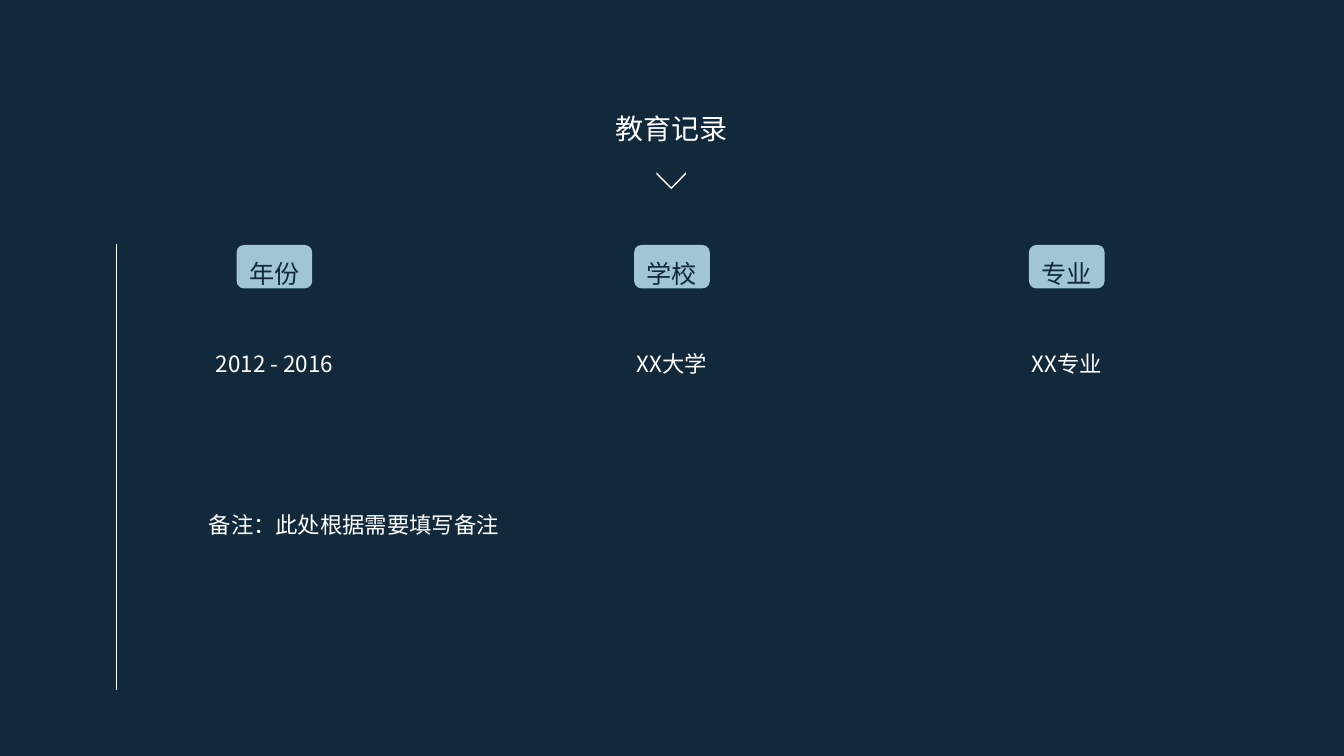
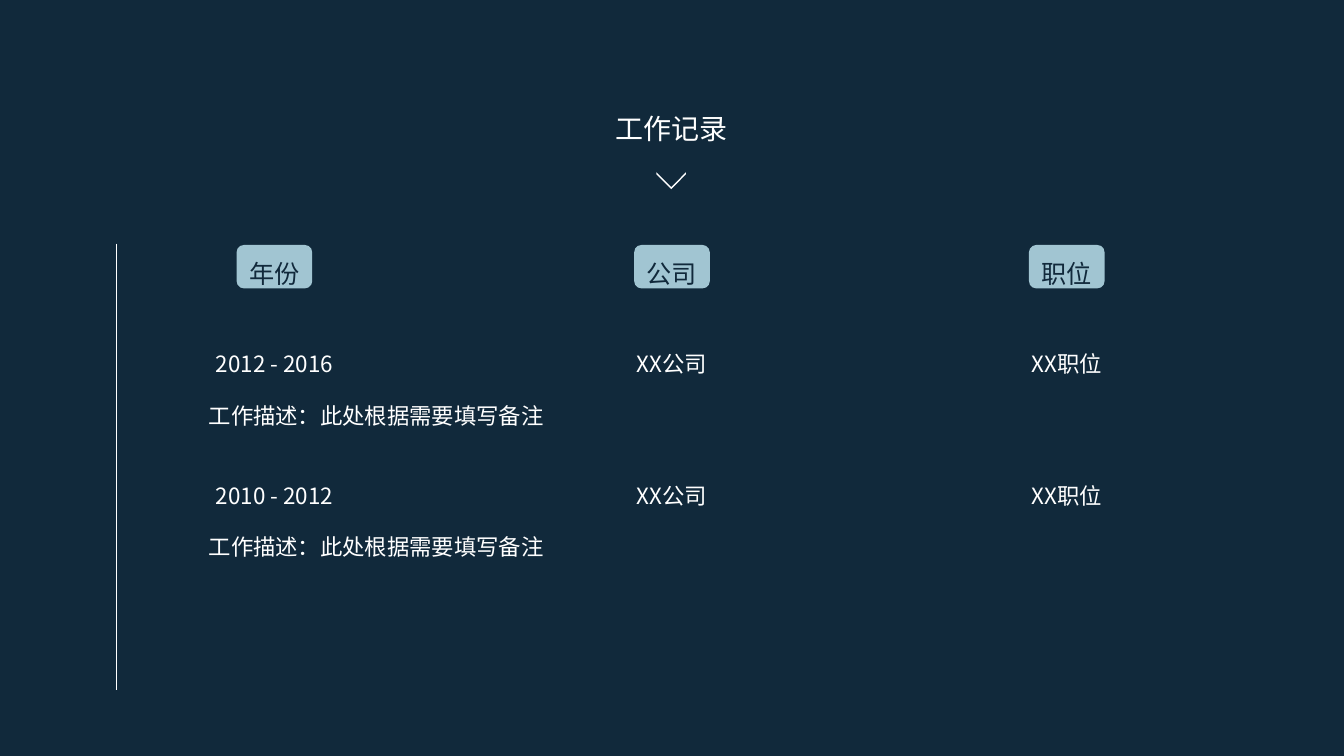
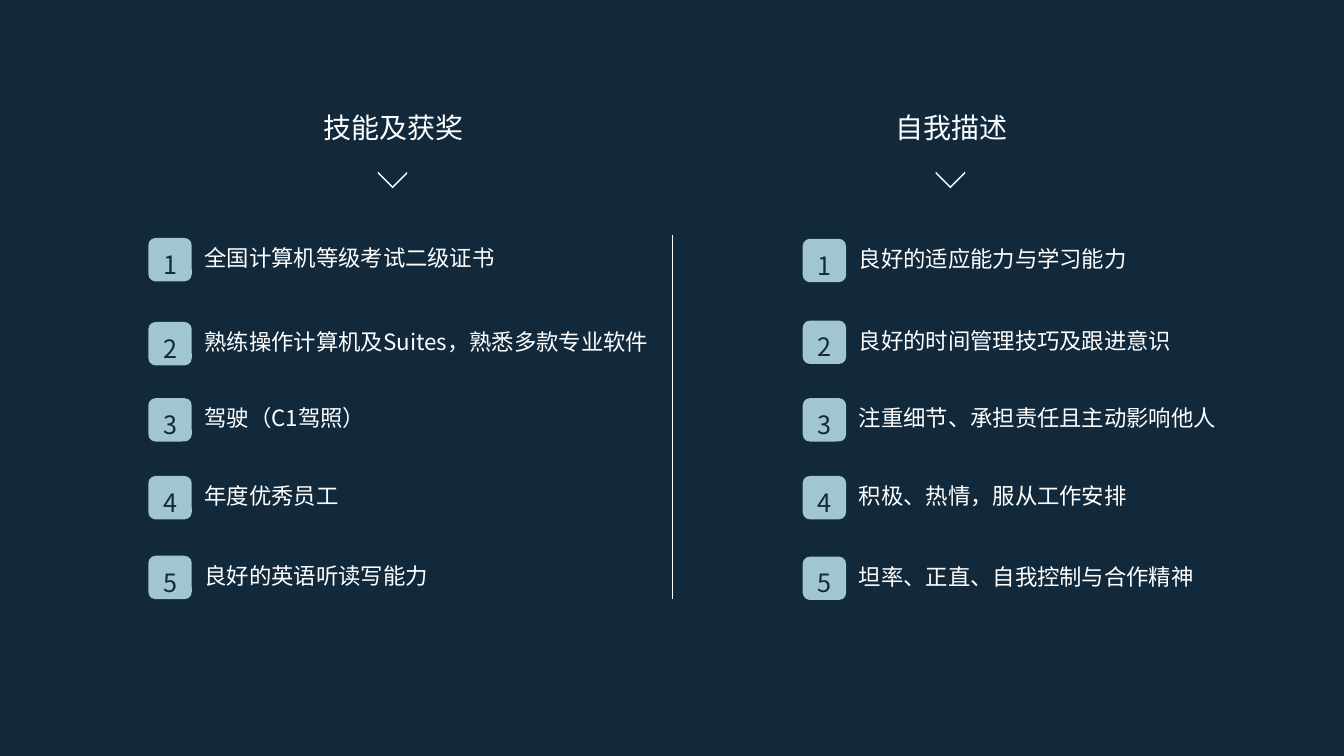
from lxml.etree import SubElement
from pptx import Presentation
from pptx.dml.color import RGBColor
from pptx.enum.shapes import MSO_CONNECTOR, MSO_SHAPE
from pptx.enum.text import MSO_ANCHOR, PP_ALIGN
from pptx.oxml.ns import qn
from pptx.util import Pt

COLORS = {"navy": "11293B", "mist": "A1C5D2", "white": "FFFFFF"}
FONT = "Noto Sans CJK SC"
CENTERED = {"alignment": PP_ALIGN.CENTER, "line_spacing": 1.3}
# Each style: font size, colour, paragraph format
STYLES = {
    "title": (20, "white", CENTERED),
    "badge": (18, "navy", CENTERED),
    "entry": (16, "white", CENTERED),
    "remark": (16, "white", {"alignment": PP_ALIGN.LEFT, "line_spacing": 1.3}),
    "item": (16, "white", {"alignment": PP_ALIGN.LEFT}),
}


def add_text(slide, text, style, box, shape=None):
    """Write text in the given shape, or in a new text box."""
    shape = shape or slide.shapes.add_textbox(*map(Pt, box))
    size, color, paragraph_format = STYLES[style]
    shape.text_frame.word_wrap = True
    paragraph = shape.text_frame.paragraphs[0]
    for name, value in paragraph_format.items():
        setattr(paragraph, name, value)
    run = paragraph.add_run()
    run.text = text
    for name, value in {"size": Pt(size), "name": FONT}.items():
        setattr(run.font, name, value)
    run.font.color.rgb = RGBColor.from_string(COLORS[color])
    SubElement(run.font._rPr, qn("a:ea"), typeface=FONT)


def add_solid(slide, kind, color, box):
    """Add a plain filled shape without outline or shadow."""
    shape = slide.shapes.add_shape(kind, *map(Pt, box))
    shape.shadow.inherit = False
    shape.fill.solid()
    shape.fill.fore_color.rgb = RGBColor.from_string(COLORS[color])
    shape.line.fill.background()
    return shape


prs = Presentation()
prs.slide_width, prs.slide_height = Pt(960), Pt(540)
background = prs.slide_master.background.fill
background.solid()
background.fore_color.rgb = RGBColor.from_string(COLORS["navy"])
education, work, profile = [prs.slides.add_slide(prs.slide_layouts[6]) for _ in range(3)]

# Titles with a chevron below: slide, text, centre, top
for slide, title, center, top in [
    (education, "教育记录", 480, 69),
    (work, "工作记录", 480, 69),
    (profile, "技能及获奖", 281, 68.4),
    (profile, "自我描述", 679.4, 68.4),
]:
    add_text(slide, title, "title", (center - 72, top, 144, 36))
    chevron = add_solid(slide, MSO_SHAPE.CHEVRON, "white", (center - 6.6, top + 49.6, 12, 21))
    chevron.rotation = 90
    chevron.adjustments[0] = 0.88

# Thin vertical rules: slide, x, top, bottom
for slide, x, top, bottom in [
    (education, 83, 174, 493),
    (work, 83, 174, 493),
    (profile, 480, 168, 428),
]:
    rule = slide.shapes.add_connector(MSO_CONNECTOR.STRAIGHT, Pt(x), Pt(top), Pt(x), Pt(bottom))
    rule.line.width = Pt(0.5)
    rule.line.color.rgb = RGBColor.from_string(COLORS["white"])
    SubElement(rule._element.spPr, qn("a:effectLst"))

# Records: headings, then entry rows at (top, cells), then remarks at (top, text)
COLUMN_CENTERS = (196, 480, 762)
JOB_REMARK = "工作描述：此处根据需要填写备注"
RECORDS = [
    (education, ("年份", "学校", "专业"),
     [(241, ("2012 - 2016", "XX大学", "XX专业"))],
     [(355.6, "备注：此处根据需要填写备注")]),
    (work, ("年份", "公司", "职位"),
     [(241, ("2012 - 2016", "XX公司", "XX职位")),
      (334.8, ("2010 - 2012", "XX公司", "XX职位"))],
     [(278, JOB_REMARK), (371.6, JOB_REMARK)]),
]
for slide, headings, rows, remarks in RECORDS:
    for center, heading in zip(COLUMN_CENTERS, headings):
        badge = add_solid(slide, MSO_SHAPE.ROUNDED_RECTANGLE, "mist", (center - 27, 175, 54, 31))
        frame = badge.text_frame
        frame.vertical_anchor = MSO_ANCHOR.TOP
        frame.margin_left = frame.margin_right = frame.margin_bottom = 0
        frame.margin_top = Pt(1.5)
        add_text(slide, heading, "badge", None, badge)
    for top, cells in rows:
        for center, cell in zip(COLUMN_CENTERS, cells):
            add_text(slide, cell, "entry", (center - 61.5, top, 123, 30))
    for top, remark in remarks:
        add_text(slide, remark, "remark", (142, top, 475, 58))

# Numbered lists: left edge, then (top, text) per item
LISTS = [
    (106, [(170, "全国计算机等级考试二级证书"),
           (230, "熟练操作计算机及Suites，熟悉多款专业软件"),
           (284.4, "驾驶（C1驾照）"),
           (340, "年度优秀员工"),
           (397, "良好的英语听读写能力")]),
    (573.4, [(170.6, "良好的适应能力与学习能力"),
             (229, "良好的时间管理技巧及跟进意识"),
             (284.4, "注重细节、承担责任且主动影响他人"),
             (340, "积极、热情，服从工作安排"),
             (397.6, "坦率、正直、自我控制与合作精神")]),
]
for left, items in LISTS:
    for number, (top, item) in enumerate(items, 1):
        badge = add_solid(profile, MSO_SHAPE.ROUNDED_RECTANGLE, "mist", (left, top, 31, 31))
        frame = badge.text_frame
        frame.vertical_anchor = MSO_ANCHOR.TOP
        for side in ("left", "right", "top", "bottom"):
            setattr(frame, f"margin_{side}", 0)
        add_text(profile, str(number), "badge", None, badge)
        add_text(profile, item, "item", (left + 33, top + 1, 335, 52))

prs.save("out.pptx")
